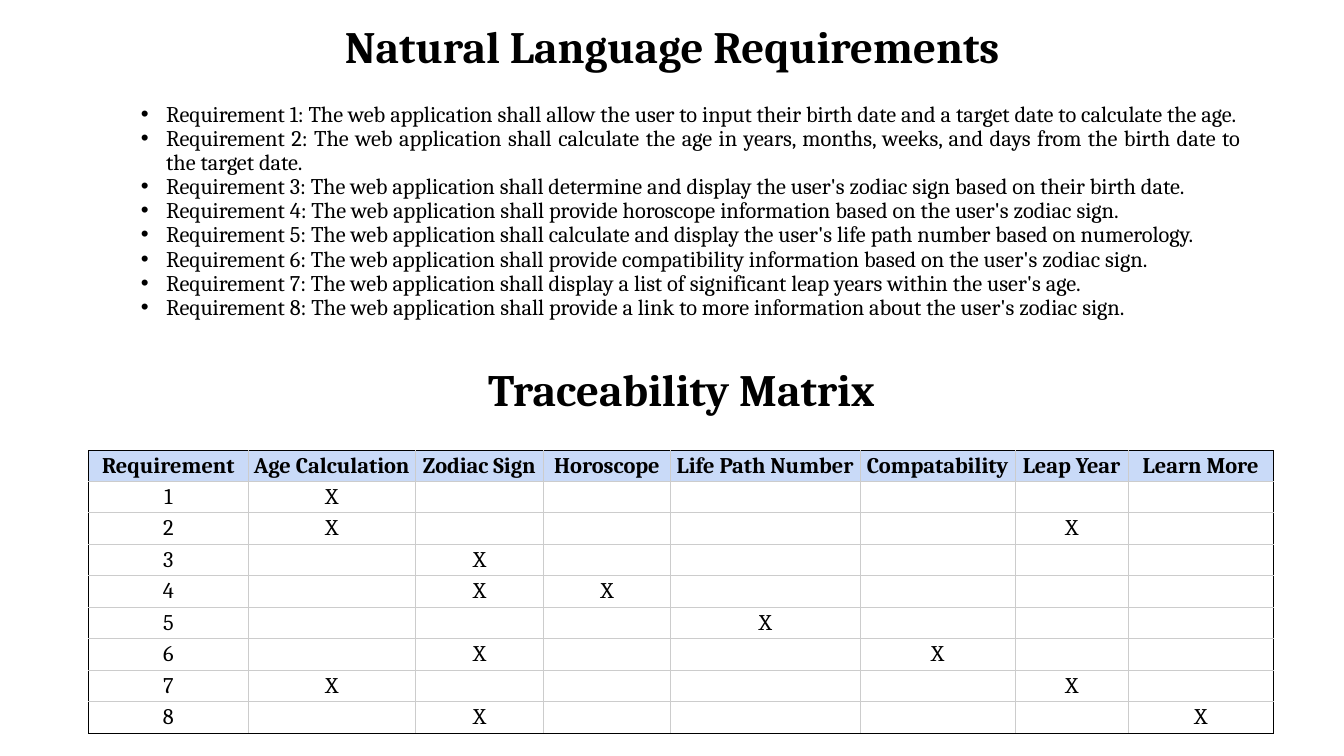
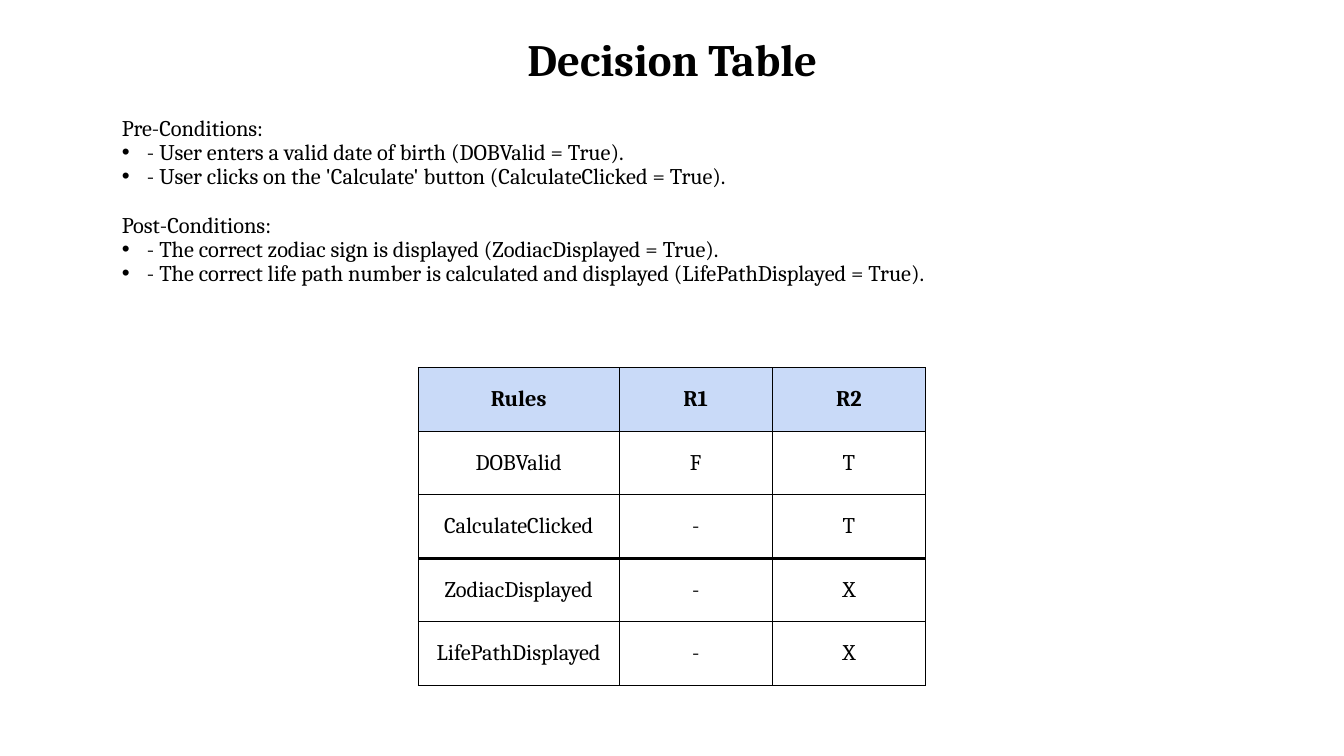
import pptx
import pptx.util
import pptx.dml.color
import pptx.enum.shapes
import pptx.enum.text
import pptx.oxml.ns
import lxml.etree

Inches, Pt = pptx.util.Inches, pptx.util.Pt
Align = pptx.enum.text.PP_ALIGN
Anchor = pptx.enum.text.MSO_ANCHOR
RECT = pptx.enum.shapes.MSO_SHAPE.RECTANGLE

COLORS = {"text": "000000", "head": "C9DAF8", "cell": "FFFFFF",
          "edge": "000000", "grid": "CCCCCC"}
FONT = "Cambria"
WIDTH = 11.5

NEEDS = [
    "allow the user to input their birth date and a target date to calculate the age.",
    "calculate the age in years, months, weeks, and days from the birth date to the target date.",
    "determine and display the user's zodiac sign based on their birth date.",
    "provide horoscope information based on the user's zodiac sign.",
    "calculate and display the user's life path number based on numerology.",
    "provide compatibility information based on the user's zodiac sign.",
    "display a list of significant leap years within the user's age.",
    "provide a link to more information about the user's zodiac sign.",
]
TOPICS = ["Age Calculation", "Zodiac Sign", "Horoscope", "Life Path Number",
          "Compatability", "Leap Year", "Learn More"]
TRACES = [
    ["Age Calculation"],
    ["Age Calculation", "Leap Year"],
    ["Zodiac Sign"],
    ["Zodiac Sign", "Horoscope"],
    ["Life Path Number"],
    ["Zodiac Sign", "Compatability"],
    ["Age Calculation", "Leap Year"],
    ["Zodiac Sign", "Learn More"],
]
CHECKS = [
    ("Pre-Conditions:", [
        "- User enters a valid date of birth (DOBValid = True).",
        "- User clicks on the 'Calculate' button (CalculateClicked = True)."]),
    ("Post-Conditions:", [
        "- The correct zodiac sign is displayed (ZodiacDisplayed = True).",
        "- The correct life path number is calculated and displayed (LifePathDisplayed = True)."]),
]
RULES = [
    ["Rules", "R1", "R2"],
    ["DOBValid", "F", "T"],
    ["CalculateClicked", "-", "T"],
    ["ZodiacDisplayed", "-", "X"],
    ["LifePathDisplayed", "-", "X"],
]
SPLIT = 3  # conditions lie above this row, actions from it on


def tag(parent, name, **attrs):
    return lxml.etree.SubElement(parent, pptx.oxml.ns.qn("a:" + name), attrs)


def paint(fill, color):
    fill.solid()
    fill.fore_color.rgb = pptx.dml.color.RGBColor.from_string(COLORS[color])


def write(para, text, size=16, bold=False, align=Align.CENTER,
          spacing=1.0, before=0, bullet=False):
    para.alignment = align
    para.line_spacing = spacing
    para.space_before = Pt(before)
    if bullet:
        props = para._p.get_or_add_pPr()
        props.set("marL", str(Inches(0.25)))
        props.set("indent", str(Inches(-0.25)))
        tag(props, "buFont", typeface="Arial")
        tag(props, "buChar", char="•")
    if not text:
        end = tag(para._p, "endParaRPr", sz=str(size * 100))
        tag(end, "latin", typeface=FONT)
        return
    run = para.add_run()
    run.text = text
    run.font.name, run.font.size, run.font.bold = FONT, Pt(size), bold
    paint(run.font.fill, "text")


def add_box(slide, left, top, height, lines, width=WIDTH, anchor=Anchor.TOP,
            filled=True):
    """Add a box from (text, format) pairs, one a paragraph."""
    place = [Inches(n) for n in (left, top, width, height)]
    if filled:
        box = slide.shapes.add_shape(RECT, *place)
        box.shadow.inherit = False
        paint(box.fill, "cell")
        box.line.fill.background()
    else:
        box = slide.shapes.add_textbox(*place)
    frame = box.text_frame
    frame.word_wrap = True
    frame.vertical_anchor = anchor
    for i, (text, form) in enumerate(lines):
        para = frame.add_paragraph() if i else frame.paragraphs[0]
        write(para, text, spacing=0.9, **form)


def add_title(slide, text, left, top, height, filled=False):
    add_box(slide, left, top, height, [(text, {"size": 32, "bold": True})],
            anchor=Anchor.MIDDLE, filled=filled)


def add_edge(cell, side, color, width):
    line = tag(cell._tc.get_or_add_tcPr(), "ln" + side, w=str(Pt(width)))
    tag(tag(line, "solidFill"), "srgbClr", val=COLORS[color])


def add_grid(slide, left, top, cols, rows, data, inner, pad, split=None):
    """Add a table with a dark frame and, above row split, a thick line."""
    table = slide.shapes.add_table(
        len(rows), len(cols), Inches(left), Inches(top),
        Inches(sum(cols)), Inches(sum(rows))).table
    table.first_row = table.horz_banding = False
    for col, width in zip(table.columns, cols):
        col.width = Inches(width)
    for row, height in zip(table.rows, rows):
        row.height = Inches(height)
    for r, values in enumerate(data):
        for c, value in enumerate(values):
            cell = table.cell(r, c)
            cell.margin_left = cell.margin_right = Inches(0.03)
            cell.margin_top = cell.margin_bottom = Inches(pad)
            cell.vertical_anchor = Anchor.MIDDLE
            sides = [("L", c, len(cols)), ("R", c + 1, len(cols)),
                     ("T", r, len(rows)), ("B", r + 1, len(rows))]
            for side, at, last in sides:
                thick = side in "TB" and at == split
                add_edge(cell, side, "edge" if at in (0, last) else inner,
                         2.25 if thick else 0.75)
            paint(cell.fill, "cell" if r else "head")
            write(cell.text_frame.paragraphs[0], value, bold=r == 0)


def add_needs(slide):
    add_title(slide, "Natural Language Requirements", 0.92, 0, 0.97)
    form = {"align": Align.JUSTIFY, "bullet": True}
    add_box(slide, 1.3, 0.97, 2.34, [
        (f"Requirement {n}: The web application shall {need}", form)
        for n, need in enumerate(NEEDS, 1)], width=11.11)
    add_title(slide, "Traceability Matrix", 1.01, 3.51, 0.76, filled=True)
    marks = [[str(n)] + ["X" if topic in trace else "" for topic in TOPICS]
             for n, trace in enumerate(TRACES, 1)]
    add_grid(slide, 0.88, 4.47,
             [1.58, 1.66, 1.27, 1.26, 1.88, 1.54, 1.12, 1.44],
             [0.3] + [2.5 / len(marks)] * len(marks),
             [["Requirement"] + TOPICS] + marks, "grid", 0.02)


def add_rules(slide):
    add_title(slide, "Decision Table", 0.92, 0.31, 0.61)
    lines = []
    for head, items in CHECKS:
        gap = 17.5 if lines else 0
        lines.append((head, {"align": Align.JUSTIFY, "before": gap}))
        lines += [(item, {"align": Align.JUSTIFY, "bullet": True})
                  for item in items]
    add_box(slide, 1.11, 1.11, 1.91, lines)
    add_grid(slide, 4.15, 3.65, [1.99, 1.52, 1.52], [0.63] * len(RULES),
             RULES, "edge", 0.03, SPLIT)


def main():
    deck = pptx.Presentation()
    deck.slide_width, deck.slide_height = Inches(13.33), Inches(7.5)
    for build in (add_needs, add_rules):
        build(deck.slides.add_slide(deck.slide_layouts[6]))
    deck.save("out.pptx")


if __name__ == "__main__":
    main()
